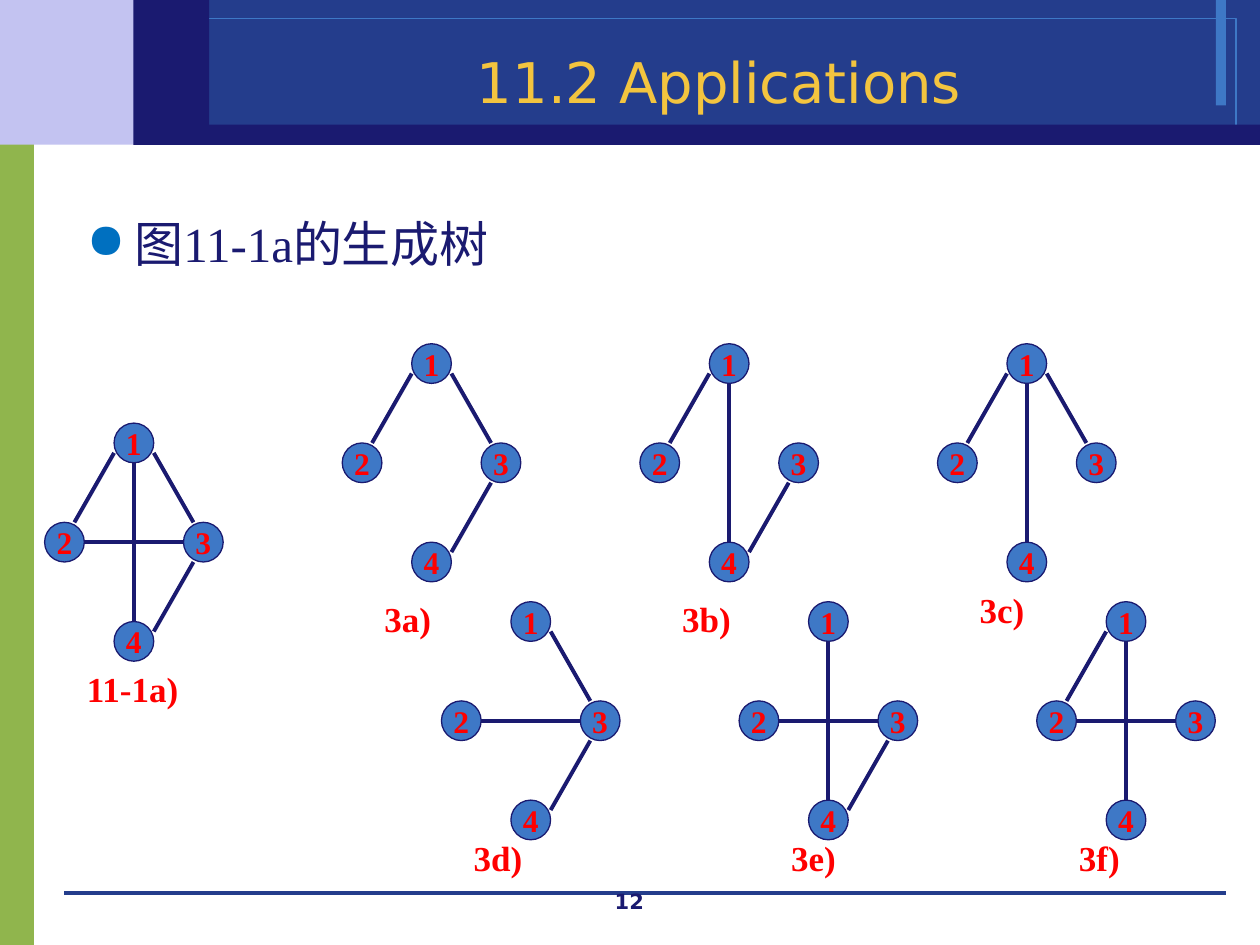
from lxml import etree
from pptx import Presentation
from pptx import util as u
from pptx.dml.color import RGBColor
from pptx.enum import shapes, text
from pptx.oxml.ns import qn

WIDTH, HEIGHT = u.Inches(10), u.Inches(7.5)
CELL = u.Mm(2)

NAVY = RGBColor(0x1A, 0x1A, 0x70)
ROYAL = RGBColor(0x24, 0x3D, 0x8C)
BLUE = RGBColor(0x3E, 0x78, 0xC6)
LILAC = RGBColor(0xC3, 0xC3, 0xF1)
GREEN = RGBColor(0x90, 0xB5, 0x4D)
GOLD = RGBColor(0xF3, 0xC4, 0x3F)
RED = RGBColor(0xFF, 0x00, 0x00)
BULLET = "0070C0"

SANS, SERIF = "DejaVu Sans", "Times New Roman"

NODE_SIZE = 4
NODES = {"1": (7, 0), "4": (7, 20), "2": (0, 10), "3": (14, 10)}
EDGES = {
    "12": ((7, 3), (3, 10)),
    "13": ((11, 3), (15, 10)),
    "14": ((9, 4), (9, 20)),
    "23": ((4, 12), (14, 12)),
    "34": ((15, 14), (11, 21)),
}
PITCH = 30
SOURCE_GRAPH = ("11-1a)", ("14", "23", "12", "13", "34"), (3, 24))
TREE_ROWS = [
    ((34.5, 34.65), [
        ("3a)", ("12", "13", "34"), (3, 25)),
        ("3b)", ("14", "12", "34"), (3, 25)),
        ("3c)", ("14", "12", "13"), (3, 24)),
    ]),
    ((44.5, 60.65), [
        ("3d)", ("23", "13", "34"), (2, 23)),
        ("3e)", ("14", "23", "34"), (4, 23)),
        ("3f)", ("14", "23", "12"), (3, 23)),
    ]),
]


def percent_box(left, top, width, height):
    return [int(share * size / 100) for share, size in
            zip((left, top, width, height), (WIDTH, HEIGHT) * 2)]


def cells(*counts):
    return [int(count * CELL) for count in counts]


def style_font(para, name, size, color, bold=False):
    font = para.font
    font.name, font.size, font.bold = name, u.Pt(size), bold
    font.color.rgb = color


def add_line(page, ends, color, weight):
    line = page.shapes.add_connector(shapes.MSO_CONNECTOR.STRAIGHT, *ends)
    line.line.color.rgb = color
    line.line.width = u.Pt(weight)
    etree.SubElement(line.element.spPr, qn("a:effectLst"))


def add_panel(page, box, fill=None, outline=None):
    panel = page.shapes.add_shape(shapes.MSO_SHAPE.RECTANGLE, *box)
    panel.shadow.inherit = False
    if fill is None:
        panel.fill.background()
    else:
        panel.fill.solid()
        panel.fill.fore_color.rgb = fill
    if outline is None:
        panel.line.fill.background()
    else:
        panel.line.color.rgb = outline
        panel.line.width = 0


def add_text(page, box, wording):
    label = page.shapes.add_textbox(*box)
    label.text_frame.word_wrap = True
    para = label.text_frame.paragraphs[0]
    para.text = wording
    return label.text_frame, para


def add_frame(page):
    add_panel(page, percent_box(0, 14.2, 2.7, 85.8), GREEN)
    add_panel(page, percent_box(0, 0, 15.3, 15.3), LILAC)
    add_panel(page, percent_box(15.3, 0, 84.7, 15.3), ROYAL)
    add_panel(page, percent_box(96.5, 0, 0.8, 11.15), BLUE)
    add_panel(page, percent_box(11.9, 1.95, 86.2, 11.35), outline=BLUE)
    left, top, width, _ = percent_box(5.1, 94.5, 92.2, 0)
    add_line(page, (left, top, left + width, top), ROYAL, 0)
    add_panel(page, percent_box(13, 13.2, 87, 2.13), NAVY)
    add_panel(page, percent_box(10.6, 0, 6, 15.33), NAVY)


def add_title(page, box, wording):
    title = page.shapes.title
    title.left, title.top, title.width, title.height = box
    title.element.getparent().append(title.element)
    frame = title.text_frame
    frame.text = wording
    frame.vertical_anchor = text.MSO_ANCHOR.BOTTOM
    frame.auto_size = text.MSO_AUTO_SIZE.NONE
    para = frame.paragraphs[0]
    para.alignment = text.PP_ALIGN.CENTER
    style_font(para, SANS, 32, GOLD)


def add_bullet(page, box, wording):
    _, para = add_text(page, box, wording)
    props = para._p.get_or_add_pPr()
    indent = u.Inches(0.38)
    props.set("marL", str(indent))
    props.set("indent", str(-indent))
    color = etree.SubElement(props, qn("a:buClr"))
    etree.SubElement(color, qn("a:srgbClr"), val=BULLET)
    etree.SubElement(props, qn("a:buChar"), char="●")
    para.line_spacing = 0.9
    style_font(para, SERIF, 28, NAVY)


def add_page_number(page, box, wording):
    frame, para = add_text(page, box, wording)
    frame.vertical_anchor = text.MSO_ANCHOR.BOTTOM
    para.alignment = text.PP_ALIGN.CENTER
    style_font(para, SANS, 12, NAVY, bold=True)


def add_node(page, box, wording):
    node = page.shapes.add_shape(shapes.MSO_SHAPE.OVAL, *box)
    node.shadow.inherit = False
    node.fill.solid()
    node.fill.fore_color.rgb = BLUE
    node.line.color.rgb = NAVY
    node.line.width = u.Pt(0.75)
    frame = node.text_frame
    frame.word_wrap = False
    frame.vertical_anchor = text.MSO_ANCHOR.MIDDLE
    para = frame.paragraphs[0]
    para.text = wording
    para.alignment = text.PP_ALIGN.CENTER
    style_font(para, SERIF, 18, RED, bold=True)


def add_graph(page, origin, graph):
    caption, edges, (caption_col, caption_row) = graph
    col, row = origin
    for name, (x, y) in NODES.items():
        add_node(page, cells(col + x, row + y, NODE_SIZE, NODE_SIZE), name)
    for edge in edges:
        (x1, y1), (x2, y2) = EDGES[edge]
        add_line(page, cells(col + x1, row + y1, col + x2, row + y2), NAVY, 2.25)
    width = 16 if len(caption) > 3 else 9
    box = cells(col + caption_col, row + caption_row, width, 5.5)
    frame, para = add_text(page, box, caption)
    frame.auto_size = text.MSO_AUTO_SIZE.SHAPE_TO_FIT_TEXT
    style_font(para, SERIF, 20, RED, bold=True)


def main():
    deck = Presentation()
    deck.slide_width, deck.slide_height = WIDTH, HEIGHT
    page = deck.slides.add_slide(deck.slide_layouts.get_by_name("Title Only"))
    add_frame(page)
    add_page_number(page, percent_box(38.3, 94, 23.3, 3.33), "12")
    add_title(page, percent_box(14.2, 2.8, 85.8, 10), "11.2 Applications")
    add_bullet(page, percent_box(5.9, 22.67, 90, 8.13), "图11-1a的生成树")
    add_graph(page, (4.5, 42.65), SOURCE_GRAPH)
    for (col, row), trees in TREE_ROWS:
        for index, tree in enumerate(trees):
            add_graph(page, (col + index * PITCH, row), tree)
    deck.save("out.pptx")


if __name__ == "__main__":
    main()
